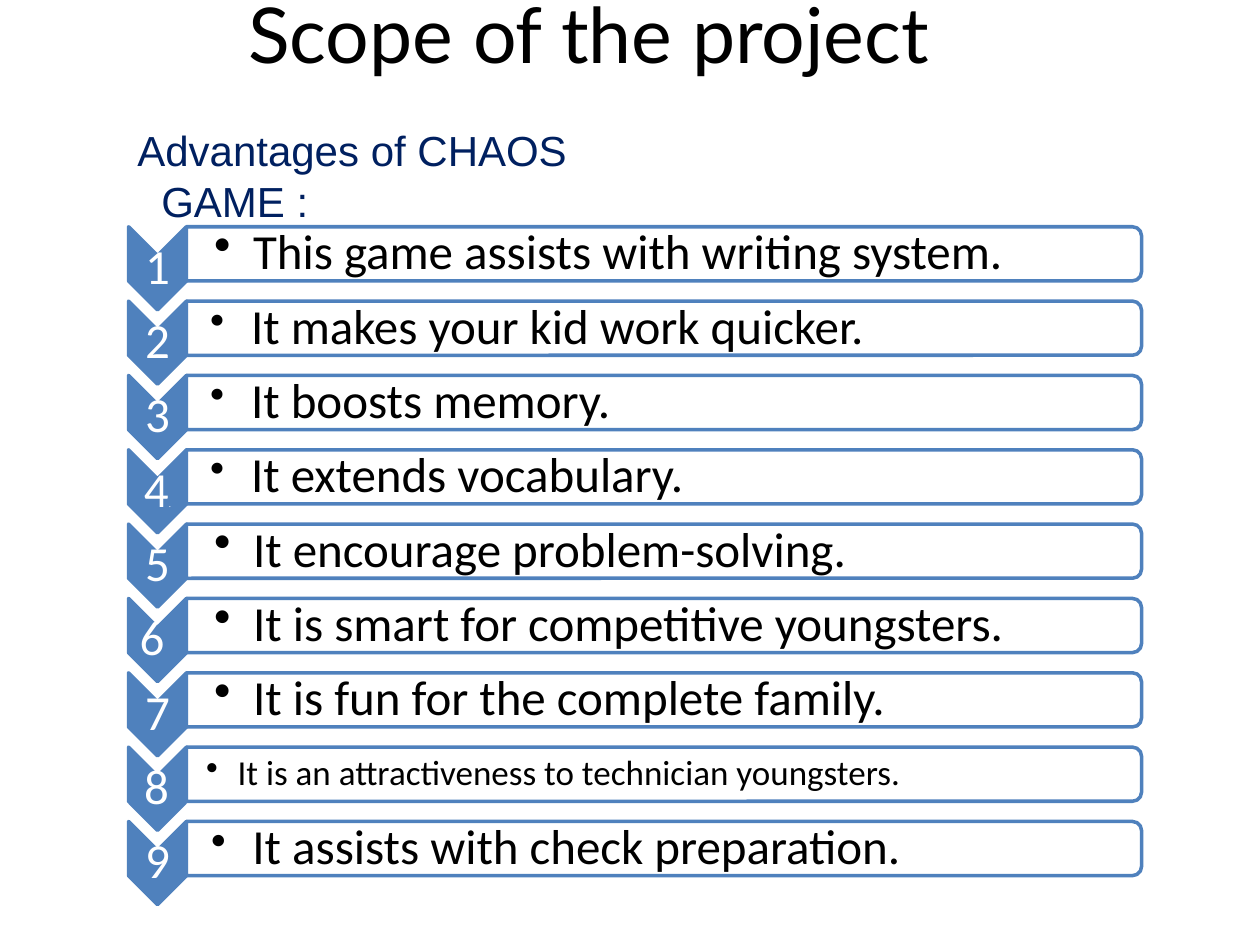
from lxml import etree
from pptx import Presentation
from pptx import util as u
from pptx.dml.color import RGBColor
from pptx.enum import shapes, text
from pptx.oxml.ns import qn

HUES = {"blue": "4F81BD", "navy": "002060", "ink": "000000", "paper": "FFFFFF"}
ROWS = [
    ("1", "", "This game assists with writing system.", 28, 28),
    ("2", "", "It makes your kid work quicker.", 28, 24),
    ("3", "", "It boosts memory.", 28, 24),
    ("4", ".", "It extends vocabulary.", 28, 24),
    ("5", "", "It encourage problem-solving.", 28, 28),
    ("6 ", "", "It is smart for competitive youngsters.", 28, 28),
    ("7", "", "It is fun for the complete family.", 28, 28),
    ("8", " ", "It is an attractiveness to technician youngsters.", 20, 20),
    ("9", "", "It assists with check preparation.", 28, 25),
]


def hue(name):
    """Return the named colour."""
    return RGBColor.from_string(HUES[name])


def style(font, face, size, name):
    """Set face, size in points and colour of a font."""
    font.name, font.size = face, u.Pt(size)
    font.color.rgb = hue(name)


def bullet(par, mark, left, first):
    """Give a paragraph a bullet mark, or none, and its indents."""
    props = par._p.get_or_add_pPr()
    props.set("marL", str(u.Inches(left)))
    props.set("indent", str(u.Inches(first)))
    if mark:
        etree.SubElement(props, qn("a:buChar")).set("char", mark)
    else:
        etree.SubElement(props, qn("a:buNone"))


def head(holder, box, words, face, size, name):
    """Place a placeholder in a box and fill it with one left-aligned line."""
    holder.left, holder.top, holder.width, holder.height = map(u.Inches, box)
    frame = holder.text_frame
    frame.text = words
    frame.auto_size = text.MSO_AUTO_SIZE.NONE
    frame.vertical_anchor = text.MSO_ANCHOR.TOP
    par = frame.paragraphs[0]
    par.alignment = text.PP_ALIGN.LEFT
    par.space_before = u.Pt(0)
    style(par.font, face, size, name)
    return par


def turned(slide, kind, box, fill):
    """Add a shape turned a quarter clockwise so that it fills the box."""
    left, top, wide, high = box
    x, y = left + (wide - high) / 2, top + (high - wide) / 2
    shape = slide.shapes.add_shape(kind, *map(u.Inches, (x, y, high, wide)))
    shape.rotation = 90
    shape.shadow.inherit = False
    shape.fill.solid()
    shape.fill.fore_color.rgb = hue(fill)
    shape.line.color.rgb = hue("blue")
    shape.line.width = u.Pt(2)
    return shape


def label(slide, box, inset, runs, name):
    """Add a middle-anchored text box holding one paragraph of sized runs."""
    frame = slide.shapes.add_textbox(*map(u.Inches, box)).text_frame
    frame.word_wrap = True
    frame.vertical_anchor = text.MSO_ANCHOR.MIDDLE
    frame.margin_top = frame.margin_right = frame.margin_bottom = u.Inches(0.02)
    frame.margin_left = u.Inches(inset)
    par = frame.paragraphs[0]
    par.line_spacing = 0.9
    for words, size in runs:
        if words:
            run = par.add_run()
            run.text = words
            style(run.font, "Calibri", size, name)
    return par


def step(slide, box, row):
    """Draw one numbered chevron with its bulleted bar."""
    left, top, wide, pitch = box
    mark, tail, words, size, lead = row
    col, tall, high = 0.46, 0.66, 0.43
    kinds = shapes.MSO_SHAPE
    turned(slide, kinds.CHEVRON, (left, top, col, tall), "blue")
    par = label(slide, (left, top + col / 2, col, tall - col), 0.02,
                [(mark, 28), (tail, 5)], "paper")
    par.alignment = text.PP_ALIGN.CENTER
    start, span = left + col, wide - col
    bar = turned(slide, kinds.ROUND_2_SAME_RECTANGLE,
                 (start, top, span, high), "paper")
    tint = bar.fill._xPr.find(qn("a:solidFill"))[0]
    etree.SubElement(tint, qn("a:alpha")).set("val", "90000")
    gap = " " if lead < size else ""
    par = label(slide, (start, top + 0.02, span - 0.02, high - 0.04),
                lead / 128, [(gap, lead), (words, size)], "ink")
    dent = 0.31 if lead == 28 else 0.25
    bullet(par, "•", dent, -dent)


def steps(slide, box, rows):
    """Stack the numbered rows at an equal pitch in the box."""
    left, top, wide, high = box
    pitch = high / len(rows)
    for i, row in enumerate(rows):
        step(slide, (left, top + i * pitch, wide, pitch), row)


def main():
    """Build the slide and save it."""
    deck = Presentation()
    deck.slide_width, deck.slide_height = u.Inches(10), u.Inches(7.5)
    slide = deck.slides.add_slide(deck.slide_layouts[1])
    title, body = slide.placeholders
    head(title, (1.87, -0.16, 6.95, 0.84), "Scope of the project",
         "Lato", 44, "ink")
    par = head(body, (0.62, 0.94, 5.16, 0.5), "Advantages of CHAOS GAME :",
               "Arial", 24, "navy")
    bullet(par, "", 0.56, -0.19)
    steps(slide, (1.02, 1.8, 8.04, 5.31), ROWS)
    deck.save("out.pptx")


if __name__ == "__main__":
    main()
